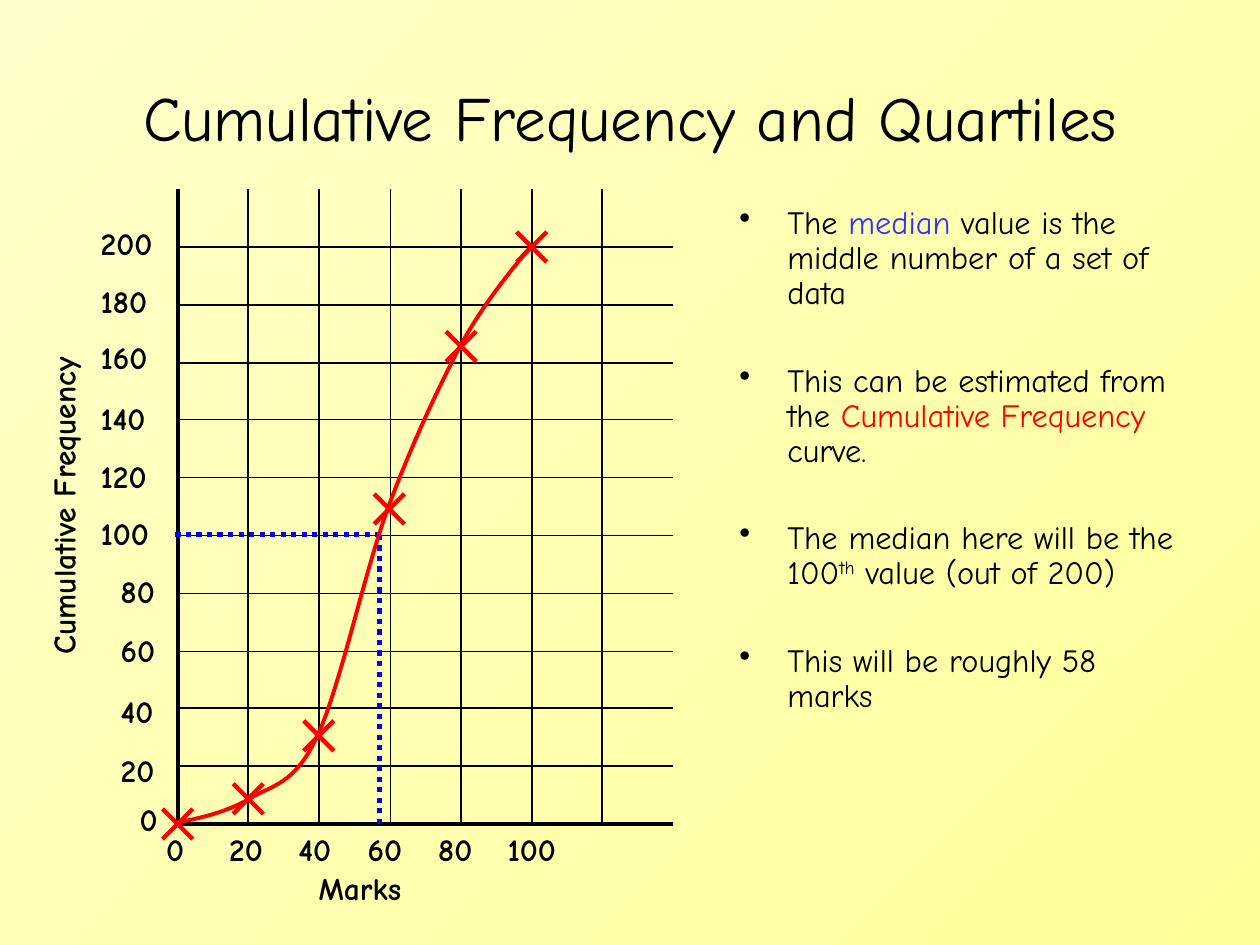
"""Build a slide that reads the median off a cumulative frequency curve."""
from lxml import etree
from pptx import Presentation
from pptx.dml.color import RGBColor
from pptx.enum.dml import MSO_LINE
from pptx.enum.shapes import MSO_CONNECTOR
from pptx.enum.text import MSO_ANCHOR, PP_ALIGN
from pptx.oxml.ns import qn
from pptx.util import Pt

PX = 9144
FONT = "Comic Neue"
BLACK, RED, BLUE = "000000", "FF0000", "0000FF"
LINE, DOT = MSO_CONNECTOR.STRAIGHT, MSO_LINE.ROUND_DOT
MID, MIDDLE = PP_ALIGN.CENTER, MSO_ANCHOR.MIDDLE
rgb = RGBColor.from_string


def draw(shapes, ends, hue, width):
    link = shapes.add_connector(LINE, *[n * PX for n in ends])
    link.line.color.rgb = rgb(hue)
    link.line.width = Pt(width)
    etree.SubElement(link._element.spPr, qn("a:effectLst"))
    return link


def write(area, text, size, bold=False):
    box = slide.shapes.add_textbox(*[n * PX for n in area])
    frame = box.text_frame
    frame.word_wrap = True
    frame.text = text
    font = frame.paragraphs[0].runs[0].font
    font.name, font.size, font.bold = FONT, Pt(size), bold
    font.color.rgb = rgb(BLACK)
    return frame


deck = Presentation()
deck.slide_width, deck.slide_height = 1000 * PX, 750 * PX
slide = deck.slides.add_slide(deck.slide_layouts[6])
shapes = slide.shapes

fill = slide.background.fill
fill.gradient()
fill.gradient_angle = 315
for stop, hue in zip(fill.gradient_stops, ("FFFFCC", "FFFF99")):
    stop.color.rgb = rgb(hue)

title = write((50, 30, 900, 125), "Cumulative Frequency and Quartiles", 36)
title.vertical_anchor = MIDDLE
title.paragraphs[0].alignment = MID

points = [
    [("The ", BLACK), ("median", "3333FF"), (" value is the middle number of a set of data", BLACK)],
    [("This can be estimated from the ", BLACK), ("Cumulative Frequency", RED), (" curve.", BLACK)],
    [("The median here will be the 100", BLACK), ("th", BLACK), (" value (out of 200)", BLACK)],
    [("This will be roughly 58 marks", BLACK)],
]
body = shapes.add_textbox(577 * PX, 159 * PX, 373 * PX, 495 * PX).text_frame
body.word_wrap = True
for i, parts in enumerate(points):
    para = body.add_paragraph() if i else body.paragraphs[0]
    para.line_spacing = 0.9
    if i:
        para.space_before = Pt(30)
    props = para._p.get_or_add_pPr()
    props.set("marL", str(38 * PX))
    props.set("indent", str(-38 * PX))
    tint = etree.SubElement(props, qn("a:buClr"))
    etree.SubElement(tint, qn("a:srgbClr"), val=BLACK)
    etree.SubElement(props, qn("a:buChar"), char="•")
    for text, hue in parts:
        run = para.add_run()
        run.text = text
        run.font.name, run.font.size = FONT, Pt(18.5)
        run.font.color.rgb = rgb(hue)
        if text == "th":
            run._r.get_or_add_rPr().set("baseline", "30000")

for i in range(11):
    y = round(654 - 45.8 * i)
    draw(shapes, (141, y, 534, y), BLACK, 1 if i else 2.25)
for i in range(7):
    x = round(141 + 56.2 * i)
    draw(shapes, (x, 150, x, 654), BLACK, 1 if i else 2.25)

tops = [630, 591, 544, 496, 449, 403, 358, 312, 263, 219, 173]
lefts = {"0": 101, "00": 86, "000": 70}
for i, top in enumerate(tops):
    text = str(20 * i)
    left = lefts["0" * len(text)]
    write((left, top, 141 - left, 40), text, 18, True)
for i, left in enumerate([122, 172, 227, 282, 338, 393]):
    write((left, 654, 67, 40), str(20 * i), 18, True)

write((243, 685, 96, 40), "Marks", 18, True)
name = write((30, 260, 50, 283), "Cumulative Frequency", 18, True)
name.paragraphs[0].alignment = MID
name.margin_left = name.margin_right = 5 * PX
name._txBody.bodyPr.set("vert", "vert270")

for x, y in [(141, 654), (197, 634), (253, 584), (309, 404), (366, 275), (422, 196)]:
    cross = shapes.add_group_shape().shapes
    draw(cross, (x - 12, y - 12, x + 12, y + 12), RED, 2.5)
    draw(cross, (x + 12, y - 12, x - 12, y + 12), RED, 2.5)

for ends in [(301, 654, 301, 423), (302, 424, 138, 424)]:
    draw(shapes, ends, BLUE, 3).line.dash_style = DOT

start = (140, 653)
bends = [
    [(160, 649), (179, 645), (198, 634)],
    [(216, 623), (234, 623), (252, 584)],
    [(270, 545), (289, 455), (308, 403)],
    [(327, 352), (347, 310), (365, 275)],
    [(384, 241), (403, 218), (421, 196)],
]
steps = 16
trail = []
last = start
for bend in bends:
    knots = [last, *bend]
    for i in range(1, steps + 1):
        t = i / steps
        mix = [(1 - t) ** 3, 3 * t * (1 - t) ** 2, 3 * t * t * (1 - t), t ** 3]
        trail.append([sum(m * k[axis] for m, k in zip(mix, knots)) * PX for axis in (0, 1)])
    last = bend[-1]
path = shapes.build_freeform(start[0] * PX, start[1] * PX)
path.add_line_segments(trail, close=False)
curve = path.convert_to_shape()
curve.shadow.inherit = False
curve.fill.background()
curve.line.color.rgb = rgb(RED)
curve.line.width = Pt(2.25)

deck.save("out.pptx")
